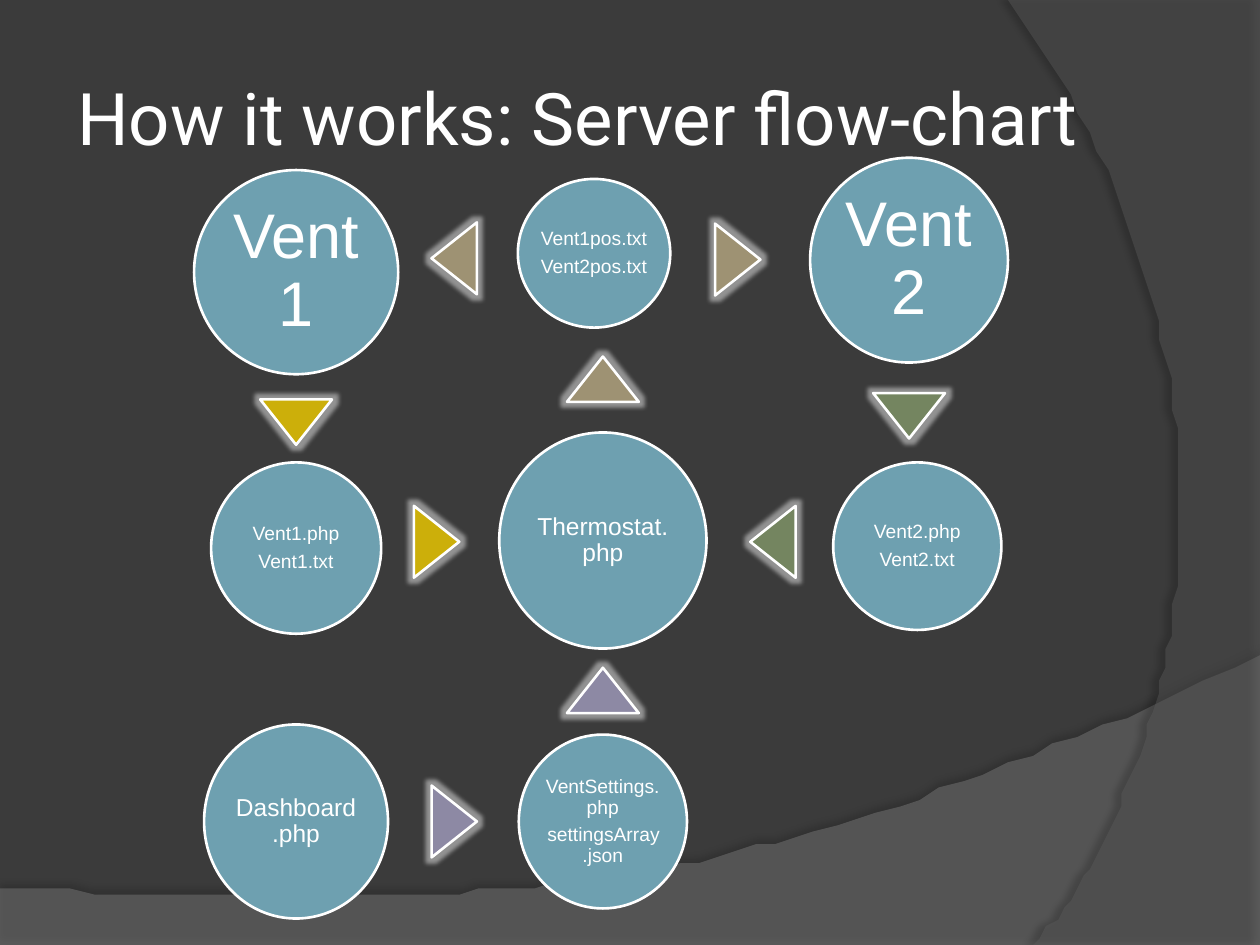
from lxml.etree import SubElement
from pptx import Presentation
from pptx.dml.color import RGBColor
from pptx.enum.shapes import MSO_SHAPE
from pptx.enum.text import MSO_ANCHOR, PP_ALIGN
from pptx.oxml.ns import qn
from pptx.util import Inches, Pt

CELL = 0.05  # inches; the slide is a grid of 200 columns by 150 rows
LEFT, MIDDLE, RIGHT = 47, 95.7, 144.3
WHITE, NODE = "FFFFFF", "6EA0B0"
GOLD, VIOLET, SAND, GREEN = "CCAF0A", "8D89A4", "9E9273", "748560"


def color(value):
    """Turn a hex string into a colour."""
    return RGBColor.from_string(value)


def cells(count):
    """Turn a number of grid cells into a length."""
    return Inches(count * CELL)


def bezier(start, first, second, end, steps=60):
    """List the points of a cubic curve."""
    points = []
    for step in range(steps + 1):
        t = step / steps
        weights = ((1 - t) ** 3, 3 * t * (1 - t) ** 2, 3 * t * t * (1 - t), t ** 3)
        corners = tuple(zip(start, first, second, end))
        points.append(tuple(sum(w * v for w, v in zip(weights, axis)) for axis in corners))
    return points


class FlowSlide:
    """Style and drawing methods for the flow-chart slide."""

    def __init__(self, deck):
        """Add a title-only slide on a dark background."""
        self.slide = deck.slides.add_slide(deck.slide_layouts[5])
        self.shapes = self.slide.shapes
        fill = self.slide.background.fill
        fill.solid()
        fill.fore_color.rgb = color("3B3B3B")

    def paint(self, shape, fill, line=None):
        """Set fill and outline and clear the shadow."""
        shape.fill.solid()
        shape.fill.fore_color.rgb = color(fill)
        if line:
            shape.line.color.rgb = color(line)
            shape.line.width = Pt(1.5)
        else:
            shape.line.fill.background()
        shape.shadow.inherit = False

    def effect(self, shape, tag, tint, alpha, **settings):
        """Add a glow or shadow to a painted shape."""
        effects = shape._element.spPr.find(qn("a:effectLst"))
        item = SubElement(effects, qn(tag), {key: str(value) for key, value in settings.items()})
        shade = SubElement(item, qn("a:srgbClr"), val=tint)
        SubElement(shade, qn("a:alpha"), val=str(alpha * 1000))

    def wave(self, points, fill, alpha, shadow_alpha, distance, angle):
        """Draw a translucent background area."""
        builder = self.shapes.build_freeform(*points[0], scale=cells(1))
        builder.add_line_segments(points[1:], close=True)
        area = builder.convert_to_shape()
        self.paint(area, fill)
        shade = area._element.spPr.find(qn("a:solidFill"))[0]
        SubElement(shade, qn("a:alpha"), val=str(alpha * 1000))
        self.effect(area, "a:outerShdw", "000000", shadow_alpha, blurRad=Pt(4),
                    dist=Pt(distance), dir=angle * 60000, rotWithShape=0)

    def label(self, frame, text, size, font, margin):
        """Fill a text frame with centred white text."""
        frame.text = text
        frame.word_wrap = True
        frame.vertical_anchor = MSO_ANCHOR.MIDDLE
        frame.margin_left = frame.margin_right = cells(margin)
        frame.margin_top = frame.margin_bottom = cells(margin)
        for para in frame.paragraphs:
            para.alignment = PP_ALIGN.CENTER
            for span in para.runs:
                span.font.size = Pt(size)
                span.font.name = font
                span.font.color.rgb = color(WHITE)

    def title(self, text):
        """Place the title in front of the background areas."""
        box = self.shapes.title
        box.left, box.top, box.width, box.height = map(cells, (10, 6, 163.4, 25))
        self.label(box.text_frame, text, 41.4, "Roboto", 1)
        self.shapes._spTree.append(box._element)

    def centred(self, kind, column, row, width, height):
        """Add a preset shape around a grid point."""
        return self.shapes.add_shape(kind, cells(column - width / 2), cells(row - height / 2),
                                     cells(width), cells(height))

    def node(self, column, row, width, height, text, size, margin):
        """Draw a labelled circle."""
        circle = self.centred(MSO_SHAPE.OVAL, column, row, width, height)
        self.paint(circle, NODE, WHITE)
        self.label(circle.text_frame, text, size, "Arial", margin)
        for para in circle.text_frame.paragraphs:
            para.line_spacing = 0.9
            para.space_after = Pt(0.35 * size)

    def pointer(self, column, row, rotation, fill):
        """Draw a glowing triangle that shows the direction of flow."""
        triangle = self.centred(MSO_SHAPE.ISOSCELES_TRIANGLE, column, row, 11.4, 7.2)
        triangle.rotation = rotation
        self.paint(triangle, fill, WHITE)
        self.effect(triangle, "a:glow", WHITE, 45, rad=Pt(5))


def build():
    """Build and save the slide."""
    deck = Presentation()
    deck.slide_width, deck.slide_height = cells(200), cells(150)
    page = FlowSlide(deck)

    floor = [(0, 150), (200, 150)] + bezier((200, 104), (111.8, 145.8), (78.2, 143.8), (0, 141))
    side = [(200, 0.4), (200, 150)] + bezier((164.2, 150), (187, 123.8), (203.6, 60), (160, 0))
    page.wave(floor, "7F7F7F", 45, 35, 3.5, 270)
    page.wave(side, "5E5E5E", 40, 45, 4, 180)
    page.title("How it works: Server flow-chart")

    nodes = [
        (LEFT, 43.2, 32.4, 32.4, "Vent 1", 36, 1),
        (LEFT, 87, 27, 27.2, "Vent1.php\nVent1.txt", 11, 0),
        (LEFT, 130.4, 29.2, 30.8, "Dashboard.php", 14, 0.4),
        (MIDDLE, 130.4, 26.7, 27.6, "VentSettings.php\nsettingsArray.json", 11, 0.3),
        (MIDDLE, 85.8, 32.9, 34.3, "Thermostat.php", 14, 0.4),
        (94.3, 40.2, 24.2, 23.6, "Vent1pos.txt\nVent2pos.txt", 11, 0),
        (RIGHT, 41.3, 31.4, 32.5, "Vent2", 36, 1),
        (145.6, 86.7, 26.7, 26.6, "Vent2.php\nVent2.txt", 11, 0),
    ]
    for node in nodes:
        page.node(*node)

    pointers = [
        (LEFT, 67, 180, GOLD), (69.3, 86, 90, GOLD),
        (72.1, 130.4, 90, VIOLET), (MIDDLE, 109.6, 0, VIOLET),
        (MIDDLE, 60.2, 0, SAND), (117.1, 41.2, 90, SAND), (72.1, 41, 270, SAND),
        (RIGHT, 66, 180, GREEN), (122.7, 86, 270, GREEN),
    ]
    for pointer in pointers:
        page.pointer(*pointer)
    deck.save("out.pptx")


build()
